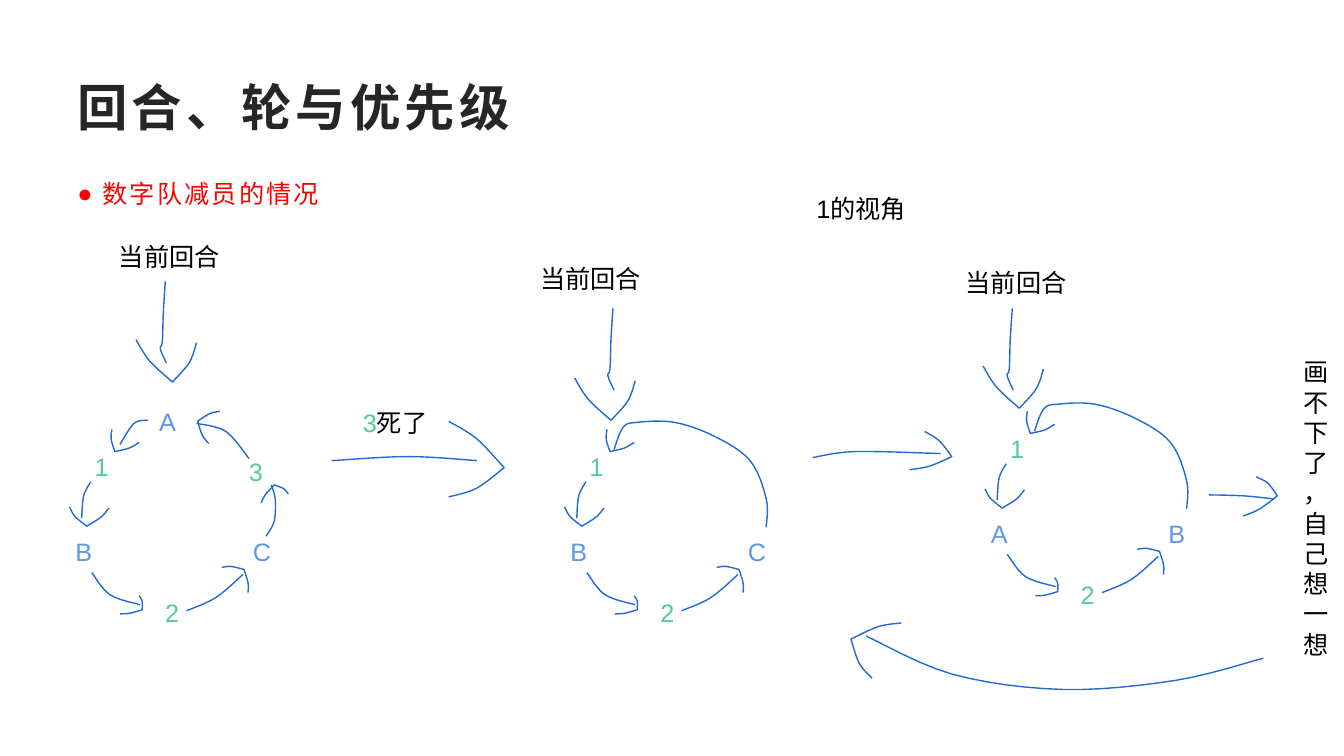
from dataclasses import dataclass
from lxml.etree import SubElement
from pptx import Presentation
from pptx.dml.color import RGBColor
from pptx.enum.text import MSO_ANCHOR
from pptx.oxml.ns import qn
from pptx.util import Inches, Pt


@dataclass(frozen=True)
class Theme:
    font: str = "Arial"
    title: str = "262626"
    alert: str = "FF0000"
    ink: str = "000000"
    letter: str = "6096E6"
    number: str = "56CA95"
    stroke: str = "2169D3"
    title_size: int = 36
    body_size: int = 18
    stroke_width: int = 1


@dataclass(frozen=True)
class Arrow:
    shaft: tuple
    barb: tuple
    tip: tuple
    other_barb: tuple


@dataclass(frozen=True)
class Ring:
    shift: tuple
    label: tuple
    turn_shaft: tuple
    turn_head: tuple
    players: dict
    arrows: tuple


THEME = Theme()
SLIDE = (13.33, 7.5)
CURVE_STEPS = 6
BARB_BOW = 0.08

TITLE = "回合、轮与优先级"
BULLET = "数字队减员的情况"
TURN = "当前回合"
VIEW = "1的视角"
DEATH = [("3", THEME.number), ("死了", THEME.ink)]
ASIDE = ["画不下了", "，自己想一想"]

SEATS = {
    "top": (1.48, 3.98, 0.4),
    "upper left": (0.84, 4.43, 0.3),
    "lower left": (0.65, 5.27, 0.4),
    "bottom": (1.54, 5.88, 0.48),
    "lower right": (2.41, 5.27, 0.4),
    "upper right": (2.37, 4.48, 0.45),
}

TURN_ARROW = Arrow(((1.64, 2.79), (1.62, 3.1), (1.61, 3.39), (1.59, 3.46), (1.65, 3.6)),
                   (1.35, 3.37), (1.71, 3.79), (1.95, 3.4))
TOP_TO_UPPER_LEFT = Arrow(((1.47, 4.17), (1.33, 4.2), (1.19, 4.41)),
                          (1.11, 4.26), (1.14, 4.48), (1.38, 4.39))
UPPER_LEFT_TO_LOWER_LEFT = Arrow(((0.9, 4.78), (0.83, 4.92), (0.81, 5.14)),
                                 (0.69, 5.03), (0.86, 5.22), (1.08, 5.04))
LOWER_LEFT_TO_BOTTOM = Arrow(((0.91, 5.68), (1.09, 5.9), (1.39, 6)),
                             (1.19, 6.09), (1.41, 6.05), (1.38, 5.91))
BOTTOM_TO_LOWER_RIGHT = Arrow(((1.85, 6.06), (2.14, 5.93), (2.41, 5.7)),
                              (2.2, 5.63), (2.42, 5.65), (2.46, 5.88))
LOWER_RIGHT_TO_UPPER_RIGHT = Arrow(((2.64, 5.32), (2.72, 5.17), (2.73, 4.95), (2.69, 4.81)),
                                   (2.59, 4.99), (2.72, 4.81), (2.86, 4.9))
UPPER_RIGHT_TO_TOP = Arrow(((2.47, 4.55), (2.24, 4.28), (1.95, 4.2)),
                           (2.07, 4.4), (1.96, 4.18), (2.18, 4.08))
LOWER_RIGHT_TO_UPPER_LEFT = Arrow(((2.69, 5.23), (2.69, 4.95), (2.53, 4.57), (2.18, 4.33), (1.78, 4.19),
                                   (1.41, 4.19), (1.27, 4.24), (1.18, 4.46)),
                                  (1.11, 4.26), (1.14, 4.48), (1.38, 4.39))

LOWER_HALF = (UPPER_LEFT_TO_LOWER_LEFT, LOWER_LEFT_TO_BOTTOM, BOTTOM_TO_LOWER_RIGHT)
FULL_CIRCLE = LOWER_HALF + (LOWER_RIGHT_TO_UPPER_RIGHT, UPPER_RIGHT_TO_TOP, TOP_TO_UPPER_LEFT)
SHORT_CIRCLE = LOWER_HALF + (LOWER_RIGHT_TO_UPPER_LEFT,)

FULL_ORDER = ("top", "upper left", "lower left", "bottom", "lower right", "upper right")
SHORT_ORDER = FULL_ORDER[1:5]

RINGS = [
    Ring((0, 0), (1.08, 2.34), (0, 0), (0, 0), dict(zip(FULL_ORDER, "A1B2C3")), FULL_CIRCLE),
    Ring((4.91, 0), (5.26, 2.56), (4.44, 0.27), (4.35, 0.38), dict(zip(SHORT_ORDER, "1B2C")), SHORT_CIRCLE),
    Ring((9.08, -0.18), (9.48, 2.6), (8.4, 0.27), (8.4, 0.26), dict(zip(SHORT_ORDER, "1A2B")), SHORT_CIRCLE),
]

STEP_ARROWS = {
    "a player dies": Arrow(((3.29, 4.57), (4.05, 4.53), (4.73, 4.57)), (4.45, 4.18), (5, 4.64), (4.45, 4.93)),
    "next turn": Arrow(((8.06, 4.54), (8.48, 4.48), (9.33, 4.5)), (9.17, 4.28), (9.44, 4.53), (9.02, 4.66)),
    "go on": Arrow(((11.99, 4.91), (12.34, 4.92), (12.63, 4.95)), (12.46, 4.73), (12.67, 4.92), (12.33, 5.12)),
    "start again": Arrow(((12.53, 6.53), (11.66, 6.75), (10.54, 6.84), (9.45, 6.69), (8.59, 6.31)),
                         (8.94, 6.18), (8.44, 6.34), (8.65, 6.73)),
}


def curve_through(points):
    padded = [points[0], *points, points[-1]]
    curve = [points[0]]
    for before, start, end, after in zip(padded, padded[1:], padded[2:], padded[3:]):
        for step in range(1, CURVE_STEPS + 1):
            t = step / CURVE_STEPS
            curve.append(tuple(
                b + ((c - a) * t + (2 * a - 5 * b + 4 * c - d) * t ** 2 + (3 * b - a - 3 * c + d) * t ** 3) / 2
                for a, b, c, d in zip(before, start, end, after)))
    return curve


def bowed_barb(barb, tip, other_barb):
    middle = tuple((b + t) / 2 + BARB_BOW * (b - o) for b, t, o in zip(barb, tip, other_barb))
    return curve_through([barb, middle, tip])


def head_points(arrow):
    first = bowed_barb(arrow.barb, arrow.tip, arrow.other_barb)
    second = bowed_barb(arrow.other_barb, arrow.tip, arrow.barb)
    return first + second[-2::-1]


def add_stroke(page, points, shift):
    placed = [(Inches(x + shift[0]), Inches(y + shift[1])) for x, y in points]
    builder = page.shapes.build_freeform(*placed[0])
    builder.add_line_segments(placed[1:], close=False)
    stroke = builder.convert_to_shape()
    stroke.shadow.inherit = False
    stroke.fill.background()
    stroke.line.color.rgb = RGBColor.from_string(THEME.stroke)
    stroke.line.width = Pt(THEME.stroke_width)


def add_arrow(page, arrow, shaft_shift=(0, 0), head_shift=(0, 0)):
    add_stroke(page, curve_through(arrow.shaft), shaft_shift)
    add_stroke(page, head_points(arrow), head_shift)


def add_text(page, paragraphs, left, top, width, height=0.4, color=THEME.ink, size=THEME.body_size,
             bold=False, spacing=0, anchor=MSO_ANCHOR.TOP):
    box = page.shapes.add_textbox(*map(Inches, (left, top, width, height)))
    frame = box.text_frame
    frame.word_wrap = True
    frame.vertical_anchor = anchor
    for index, spans in enumerate(paragraphs):
        para = frame.add_paragraph() if index else frame.paragraphs[0]
        for text, span_color in [(spans, color)] if isinstance(spans, str) else spans:
            span = para.add_run()
            span.text = text
            span.font.name = THEME.font
            span.font.size = Pt(size)
            span.font.bold = bold
            span.font.color.rgb = RGBColor.from_string(span_color)
            properties = span.font._element
            SubElement(properties, qn("a:ea")).set("typeface", THEME.font)
            if spacing:
                properties.set("spc", str(int(spacing * 100)))
    return frame


def add_bullet(para, indent=0.25):
    para.line_spacing = 1.3
    para.space_after = Pt(10)
    properties = para._p.get_or_add_pPr()
    properties.set("marL", str(Inches(indent)))
    properties.set("indent", str(-Inches(indent)))
    SubElement(properties, qn("a:buFont")).set("typeface", THEME.font)
    SubElement(properties, qn("a:buChar")).set("char", "●")


def add_ring(page, ring):
    add_text(page, [TURN], *ring.label, 2.15)
    add_arrow(page, TURN_ARROW, ring.turn_shaft, ring.turn_head)
    across, down = ring.shift
    for seat, player in ring.players.items():
        left, top, width = SEATS[seat]
        color = THEME.number if player.isdigit() else THEME.letter
        add_text(page, [player], left + across, top + down, width, color=color)
    for arrow in ring.arrows:
        add_arrow(page, arrow, ring.shift, ring.shift)


def main():
    deck = Presentation()
    deck.slide_width, deck.slide_height = map(Inches, SLIDE)
    page = deck.slides.add_slide(deck.slide_layouts[6])
    add_text(page, [TITLE], 0.67, 0.67, 12, 0.77, color=THEME.title, size=THEME.title_size,
             bold=True, spacing=3, anchor=MSO_ANCHOR.MIDDLE)
    bullet = add_text(page, [BULLET], 0.67, 1.63, 2.74, 0.65, color=THEME.alert, spacing=1.5)
    add_bullet(bullet.paragraphs[0])
    for ring in RINGS:
        add_ring(page, ring)
    for arrow in STEP_ARROWS.values():
        add_arrow(page, arrow)
    add_text(page, [DEATH], 3.5, 3.99, 0.99)
    add_text(page, [VIEW], 8, 1.87, 1.23)
    add_text(page, ASIDE, 12.83, 3.49, 0.46, 3.13)
    deck.save("out.pptx")


if __name__ == "__main__":
    main()
